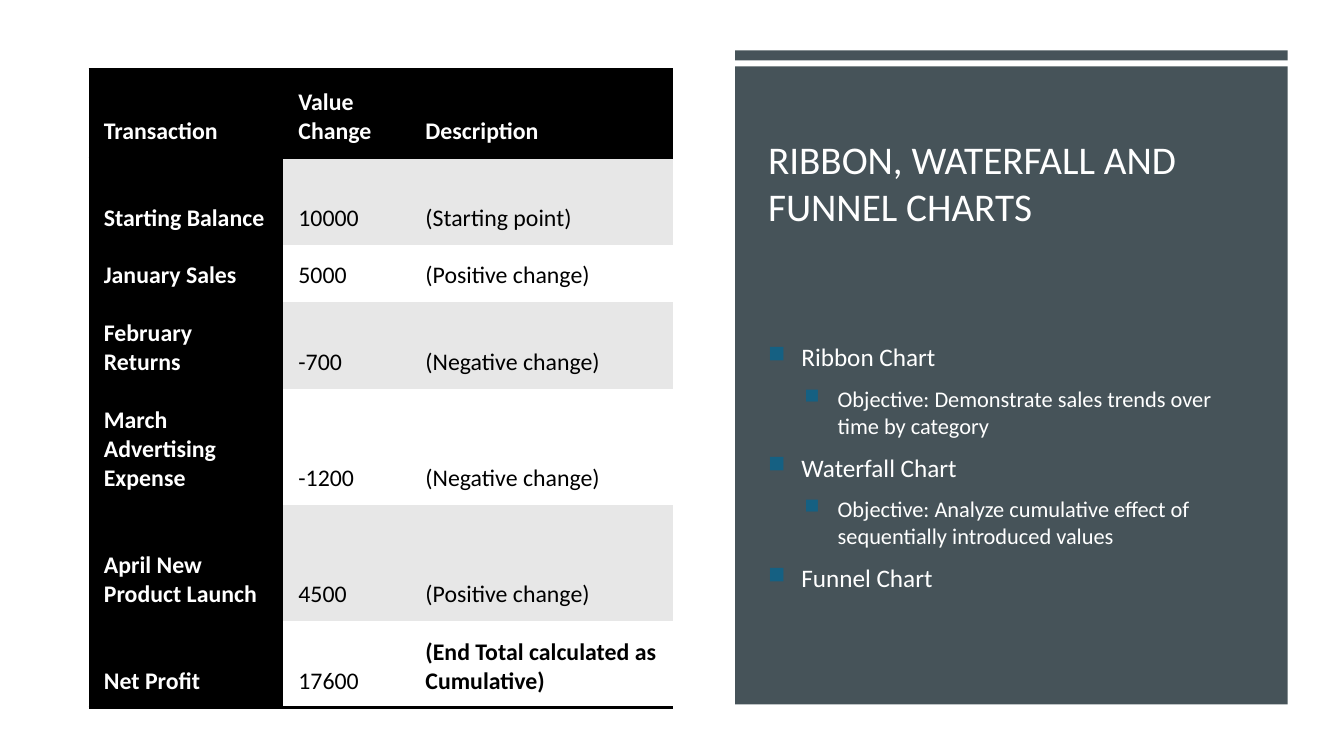
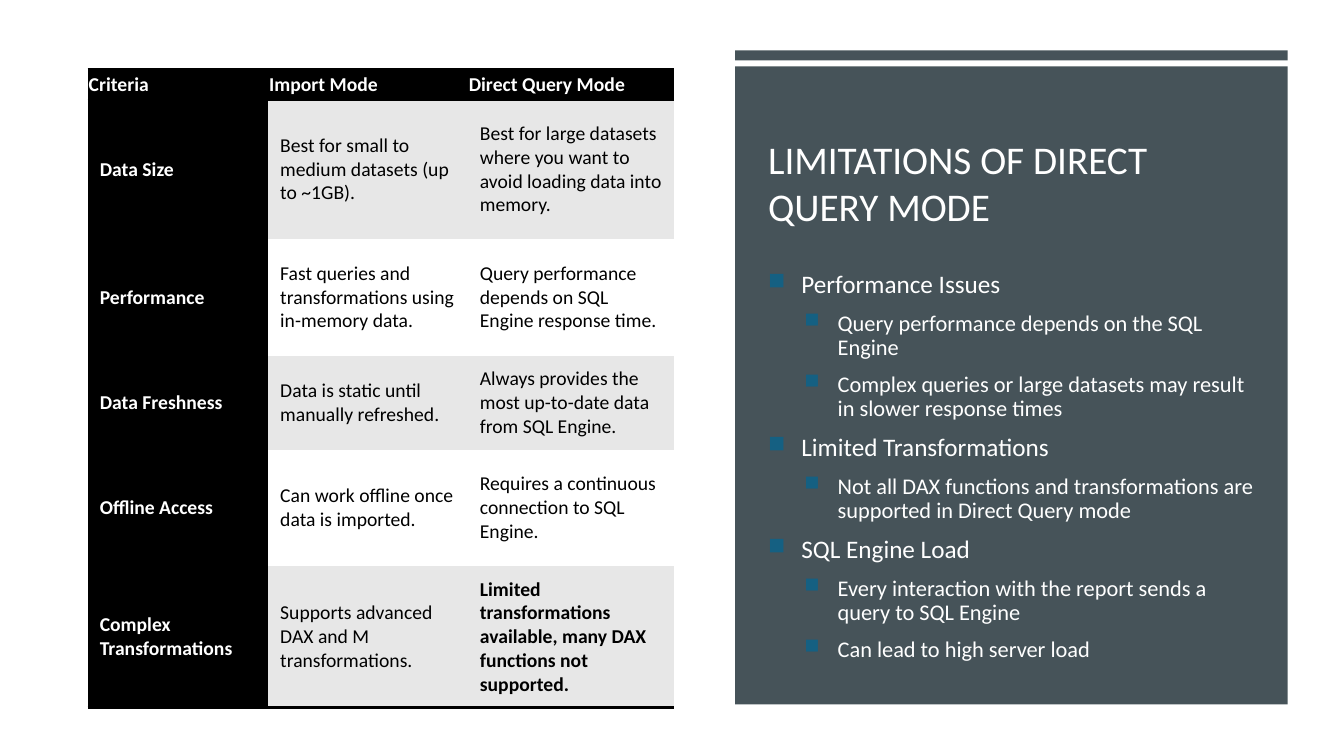
from dataclasses import dataclass

from lxml import etree
from pptx import Presentation
from pptx.dml.color import RGBColor
from pptx.enum.shapes import MSO_SHAPE
from pptx.enum.text import MSO_ANCHOR
from pptx.oxml.ns import qn
from pptx.util import Inches, Pt

RECT = MSO_SHAPE.RECTANGLE
MIDDLE, BOTTOM = MSO_ANCHOR.MIDDLE, MSO_ANCHOR.BOTTOM
NO_STYLE = "{2D5ABB26-0587-4C30-8999-92F81FD0307C}"


@dataclass(frozen=True)
class Theme:
    font: str = "Calibri"
    white: str = "FFFFFF"
    black: str = "000000"
    panel: str = "465359"
    stripe: str = "E7E7E7"
    bullet: str = "156082"
    title_size: int = 28
    body_sizes: tuple = (18, 16)
    bullet_indents: tuple = (0.33, 0.69)
    hanging: float = 0.33
    border: int = 2


THEME = Theme()
PANEL_BOX = (7.29, 0.5, 5.48, 6.49)

CHART_TABLE = {
    "box": (0.88, 0.69),
    "cols": (1.93, 1.26, 2.61),
    "rows": (0.88, 0.86, 0.57, 0.86, 1.15, 1.15, 0.86),
    "size": 17,
    "anchor": BOTTOM,
    "header_insets": (0.15, 0.12),
    "insets": (0.15, 0.12),
    "cells": [
        ("Transaction", "Value Change", "Description"),
        ("Starting Balance", "10000", "(Starting point)"),
        ("January Sales", "5000", "(Positive change)"),
        ("February Returns", "-700", "(Negative change)"),
        ("March Advertising Expense", "-1200", "(Negative change)"),
        ("April New Product Launch", "4500", "(Positive change)"),
        ("Net Profit", "17600", "(End Total calculated as Cumulative)"),
    ],
}
CHART_BULLETS = [
    (0, "Ribbon Chart"),
    (1, "Objective: Demonstrate sales trends over time by category"),
    (0, "Waterfall Chart"),
    (1, "Objective: Analyze cumulative effect of sequentially introduced values"),
    (0, "Funnel Chart"),
]

MODE_TABLE = {
    "box": (0.87, 0.69),
    "cols": (1.79, 1.98, 2.05),
    "rows": (0.3, 1.38, 1.16, 0.93, 1.16, 1.4),
    "size": 14,
    "anchor": MIDDLE,
    "header_insets": (0.01, 0.01),
    "insets": (0.12, 0.1),
    "cells": [
        ("Criteria", "Import Mode", "Direct Query Mode"),
        ("Data Size", "Best for small to medium datasets (up to ~1GB).",
         "Best for large datasets where you want to avoid loading data into memory."),
        ("Performance", "Fast queries and transformations using in-memory data.",
         "Query performance depends on SQL Engine response time."),
        ("Data Freshness", "Data is static until manually refreshed.",
         "Always provides the most up-to-date data from SQL Engine."),
        ("Offline Access", "Can work offline once data is imported.",
         "Requires a continuous connection to SQL Engine."),
        ("Complex Transformations", "Supports advanced DAX and M transformations.",
         "Limited transformations available, many DAX functions not supported."),
    ],
}
MODE_BULLETS = [
    (0, "Performance Issues"),
    (1, "Query performance depends on the SQL Engine"),
    (1, "Complex queries or large datasets may result in slower response times"),
    (0, "Limited Transformations"),
    (1, "Not all DAX functions and transformations are supported in Direct Query mode"),
    (0, "SQL Engine Load"),
    (1, "Every interaction with the report sends a query to SQL Engine"),
    (1, "Can lead to high server load"),
]


def rgb(color):
    return RGBColor.from_string(color)


def style_text(p, size, color, bold=False):
    for r in p.runs:
        r.font.name = THEME.font
        r.font.size = Pt(size)
        r.font.bold = bold
        r.font.color.rgb = rgb(color)


def add_bar(slide, x, y, w, h):
    sp = slide.shapes.add_shape(RECT, Inches(x), Inches(y), Inches(w), Inches(h))
    sp.shadow.inherit = False
    sp.fill.solid()
    sp.fill.fore_color.rgb = rgb(THEME.panel)
    sp.line.fill.background()


def add_text_frame(slide, x, y, w, h, anchor):
    tf = slide.shapes.add_textbox(Inches(x), Inches(y), Inches(w), Inches(h)).text_frame
    tf.word_wrap = True
    tf.vertical_anchor = anchor
    return tf


def add_bullet(p, level):
    pPr = p._p.get_or_add_pPr()
    pPr.set("marL", str(Inches(THEME.bullet_indents[level])))
    pPr.set("indent", str(-Inches(THEME.hanging)))
    color = etree.SubElement(pPr, qn("a:buClr"))
    etree.SubElement(color, qn("a:srgbClr"), val=THEME.bullet)
    etree.SubElement(pPr, qn("a:buSzPct"), val="92000")
    etree.SubElement(pPr, qn("a:buChar"), char="■")


def add_panel(slide, box, title, bullets, line_spacing):
    x, y, w, h = box
    # Accent strip and panel
    add_bar(slide, x, y, w, 0.1)
    add_bar(slide, x, y + 0.16, w, h - 0.16)

    # Title
    tf = add_text_frame(slide, x + 0.23, y + 0.53, w - 0.45, 1.3, BOTTOM)
    tf.text = title
    style_text(tf.paragraphs[0], THEME.title_size, THEME.white)

    # Bullets
    tf = add_text_frame(slide, x + 0.23, y + 2.06, w - 0.45, 4.15, MIDDLE)
    for i, (level, text) in enumerate(bullets):
        p = tf.add_paragraph() if i else tf.paragraphs[0]
        size = THEME.body_sizes[level]
        p.text = text
        p.level = level
        add_bullet(p, level)
        p.line_spacing = line_spacing
        p.space_before = Pt(0.2 * size if i else 0)
        p.space_after = Pt(6)
        style_text(p, size, THEME.white)


def add_border(cell, side):
    ln = etree.Element(qn(f"a:{side}"), w=str(Pt(THEME.border)))
    fill = etree.SubElement(ln, qn("a:solidFill"))
    etree.SubElement(fill, qn("a:srgbClr"), val=THEME.black)
    cell._tc.get_or_add_tcPr().insert(0, ln)


def add_data_table(slide, data):
    cells, cols, rows = data["cells"], data["cols"], data["rows"]
    x, y = data["box"]
    table = slide.shapes.add_table(len(rows), len(cols), Inches(x), Inches(y),
                                   Inches(sum(cols)), Inches(sum(rows))).table
    table.first_row = table.horz_banding = False
    table._tbl.tblPr.find(qn("a:tableStyleId")).text = NO_STYLE
    for col, width in zip(table.columns, cols):
        col.width = Inches(width)
    for row, height in zip(table.rows, rows):
        row.height = Inches(height)

    last_row, last_col = len(rows) - 1, len(cols) - 1
    for i, texts in enumerate(cells):
        inset_x, inset_y = data["insets" if i else "header_insets"]
        for j, text in enumerate(texts):
            cell = table.cell(i, j)
            heading = i == 0 or j == 0
            band = THEME.stripe if i % 2 else THEME.white
            cell.text = text
            cell.vertical_anchor = data["anchor"]
            cell.margin_left = cell.margin_right = Inches(inset_x)
            cell.margin_top = cell.margin_bottom = Inches(inset_y)
            cell.fill.solid()
            cell.fill.fore_color.rgb = rgb(THEME.black if heading else band)
            style_text(cell.text_frame.paragraphs[0], data["size"],
                       THEME.white if heading else THEME.black,
                       heading or (i, j) == (last_row, last_col))
            # Rules around the header and below the last row
            if i in (0, last_row):
                add_border(cell, "lnB")
            if i == 0:
                add_border(cell, "lnT")


def add_table_slide(prs, title, bullets, data, line_spacing=1.0):
    slide = prs.slides.add_slide(prs.slide_layouts[6])
    slide.background.fill.solid()
    slide.background.fill.fore_color.rgb = rgb(THEME.white)
    add_panel(slide, PANEL_BOX, title, bullets, line_spacing)
    add_data_table(slide, data)


def main():
    prs = Presentation()
    prs.slide_width, prs.slide_height = Inches(13.33), Inches(7.5)
    add_table_slide(prs, "RIBBON, WATERFALL AND FUNNEL CHARTS", CHART_BULLETS, CHART_TABLE)
    add_table_slide(prs, "LIMITATIONS OF DIRECT QUERY MODE", MODE_BULLETS, MODE_TABLE, 0.9)
    prs.save("out.pptx")


if __name__ == "__main__":
    main()
